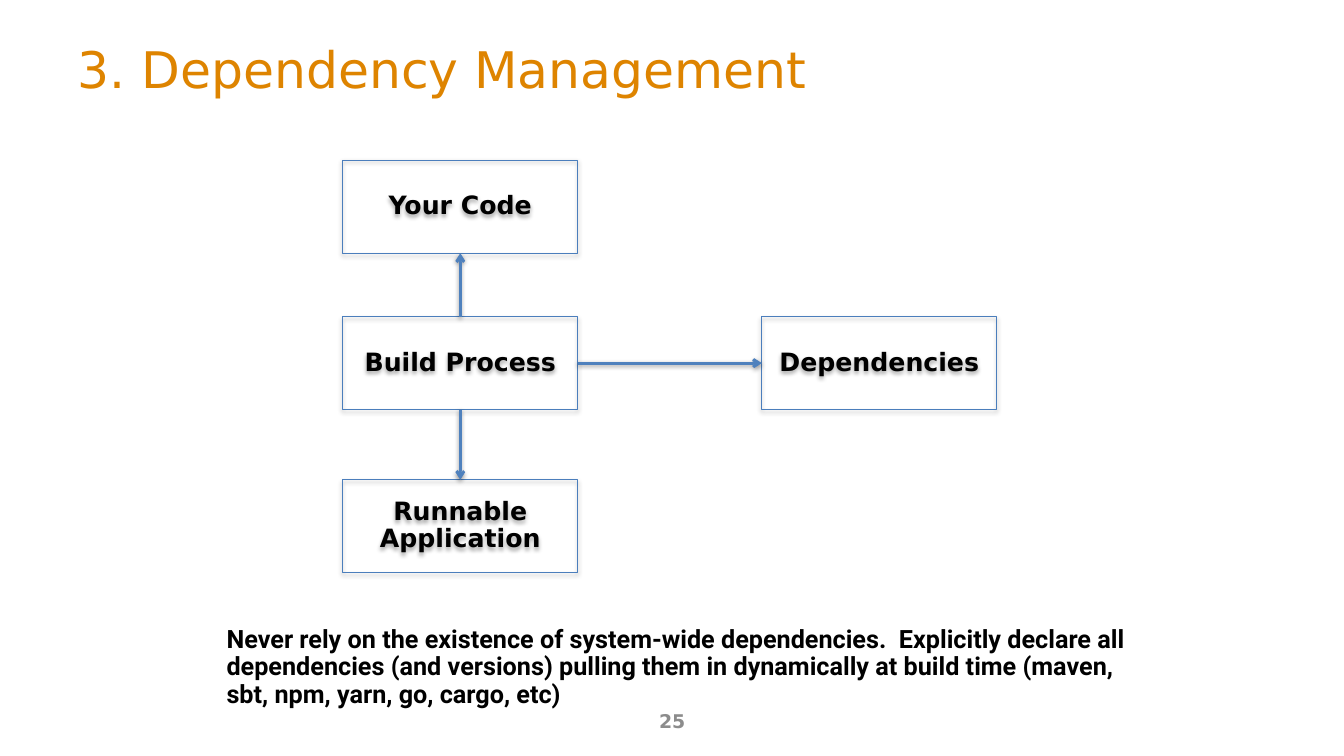
import pptx
import pptx.dml.color
import pptx.enum.shapes
import pptx.enum.text
import pptx.oxml
import pptx.oxml.ns
import pptx.util

Cm, Pt = pptx.util.Cm, pptx.util.Pt
ALIGN = pptx.enum.text.PP_ALIGN
ANCHOR = pptx.enum.text.MSO_ANCHOR
TOP, LEFT, BOTTOM, RIGHT = range(4)

SANS = "DejaVu Sans"
HEAD = {"name": SANS, "size": Pt(36), "bold": False}
LABEL = {"name": SANS, "size": Pt(18), "bold": True}
BODY = {"name": "Roboto", "size": Pt(18), "bold": True}
PAGE = {"name": SANS, "size": Pt(13.5), "bold": True}

BOX_W, BOX_H = 5.92, 2.34
NODES = {
    "Your Code": (0, 0),
    "Build Process": (0, 3.94),
    "Dependencies": (10.56, 3.94),
    "Runnable Application": (0, 8.05),
}
LINKS = [
    ("Your Code", TOP, BOTTOM),
    ("Dependencies", RIGHT, LEFT),
    ("Runnable Application", BOTTOM, TOP),
]
ADVICE = (
    "Never rely on the existence of system-wide dependencies.  "
    "Explicitly declare all dependencies (and versions) pulling them in "
    "dynamically at build time (maven, sbt, npm, yarn, go, cargo, etc)"
)


def color(code):
    return pptx.dml.color.RGBColor.from_string(code)


def style(item, values):
    for name, value in values.items():
        setattr(item, name, value)


def write(shape, text, font, ink, align=ALIGN.LEFT, anchor=ANCHOR.MIDDLE, gap=1.0):
    frame = shape.text_frame
    style(frame, {
        "text": text,
        "word_wrap": True,
        "auto_size": pptx.enum.text.MSO_AUTO_SIZE.NONE,
        "vertical_anchor": anchor,
    })
    para = frame.paragraphs[0]
    style(para, {"alignment": align, "line_spacing": gap})
    run = para.runs[0]
    style(run.font, font)
    run.font.color.rgb = color(ink)


def shade(shape, dist, alpha):
    """Add a soft black shadow below the shape; dist is in EMU."""
    props = shape._element.spPr
    for old in props.findall(pptx.oxml.ns.qn("a:effectLst")):
        props.remove(old)
    props.append(pptx.oxml.parse_xml(
        f'<a:effectLst {pptx.oxml.ns.nsdecls("a")}>'
        f'<a:outerShdw blurRad="40000" dist="{dist}" dir="5400000" rotWithShape="0">'
        f'<a:srgbClr val="000000"><a:alpha val="{alpha}000"/></a:srgbClr>'
        "</a:outerShdw></a:effectLst>"
    ))


def add_title(slide, x, y, w, h):
    title = slide.shapes.title
    style(title, {"left": Cm(x), "top": Cm(y), "width": Cm(w), "height": Cm(h)})
    write(title, "3. Dependency Management", HEAD, "DE8400")


def add_node(slide, text, x, y):
    kind = pptx.enum.shapes.MSO_SHAPE.RECTANGLE
    node = slide.shapes.add_shape(kind, Cm(x), Cm(y), Cm(BOX_W), Cm(BOX_H))
    node.fill.background()
    node.line.color.rgb = color("4B7EBC")
    node.line.width = Pt(0.75)
    shade(node, 23000, 35)
    write(node, text, LABEL, "000000", ALIGN.CENTER, gap=0.9)
    return node


def add_arrow(slide, start, site, end, goal):
    kind = pptx.enum.shapes.MSO_CONNECTOR.STRAIGHT
    arrow = slide.shapes.add_connector(kind, 0, 0, 0, 0)
    arrow.begin_connect(start, site)
    arrow.end_connect(end, goal)
    arrow.line.color.rgb = color("4F81BD")
    arrow.line.width = Pt(2)
    tip = pptx.oxml.parse_xml(
        f'<a:tailEnd {pptx.oxml.ns.nsdecls("a")} type="arrow"/>')
    arrow.line._get_or_add_ln().append(tip)
    shade(arrow, 20000, 38)


def add_graph(slide, x, y):
    nodes = {text: add_node(slide, text, x + dx, y + dy)
             for text, (dx, dy) in NODES.items()}
    for name, site, goal in LINKS:
        add_arrow(slide, nodes["Build Process"], site, nodes[name], goal)


def add_text(slide, text, x, y, w, h, font, ink, **layout):
    box = slide.shapes.add_textbox(Cm(x), Cm(y), Cm(w), Cm(h))
    write(box, text, font, ink, **layout)


def main():
    deck = pptx.Presentation()
    style(deck, {"slide_width": Cm(33.87), "slide_height": Cm(19.05)})
    slide = deck.slides.add_slide(deck.slide_layouts[5])
    add_title(slide, 1.7, 0.76, 30.48, 1.93)
    add_graph(slide, 8.64, 4.04)
    add_text(slide, ADVICE, 5.46, 15.67, 23.37, 2.34, BODY, "000000",
             anchor=ANCHOR.TOP, gap=0.9)
    add_text(slide, "25", 11.58, 17.65, 10.72, 1.02, PAGE, "8C8C8C",
             align=ALIGN.CENTER)
    deck.save("out.pptx")


if __name__ == "__main__":
    main()
